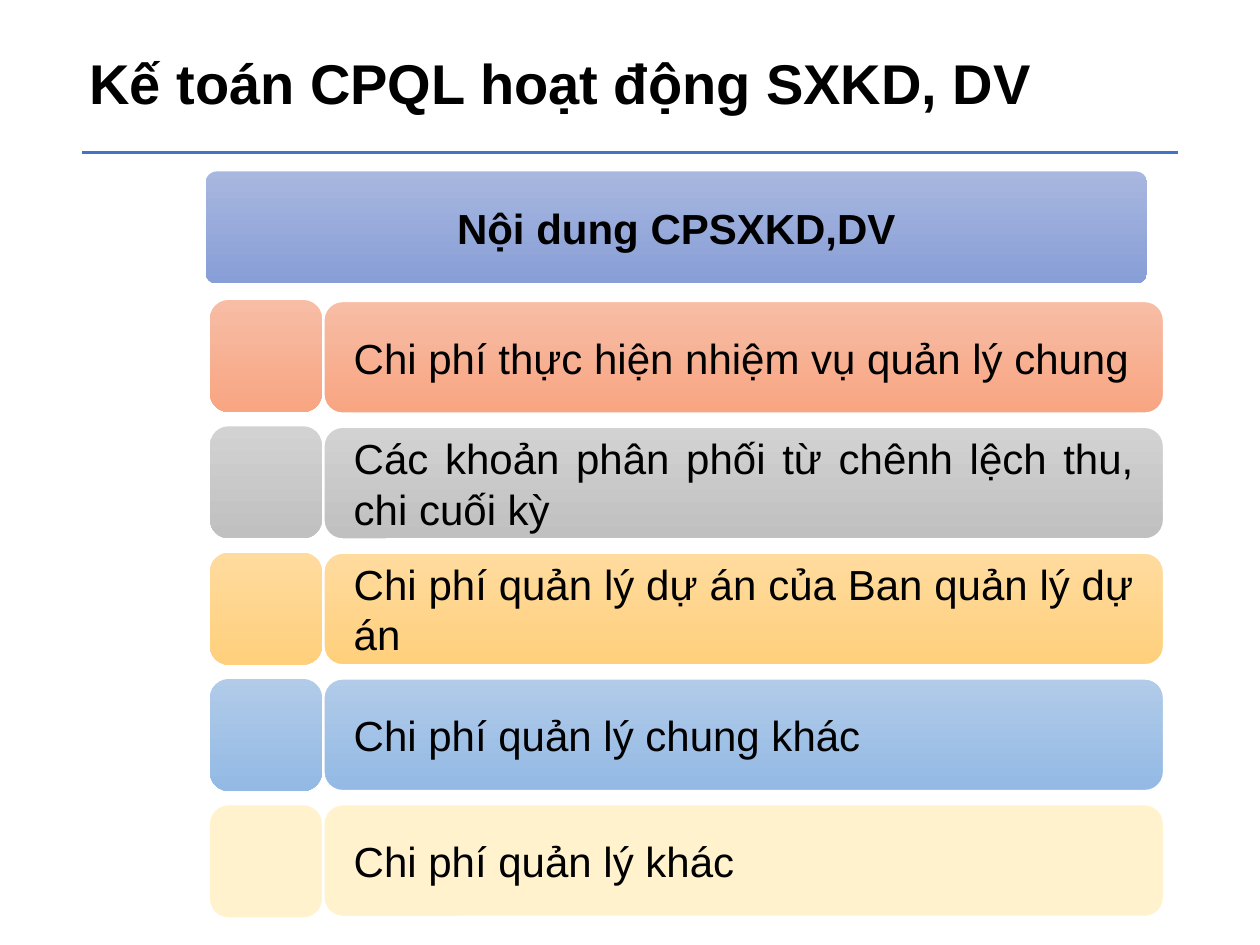
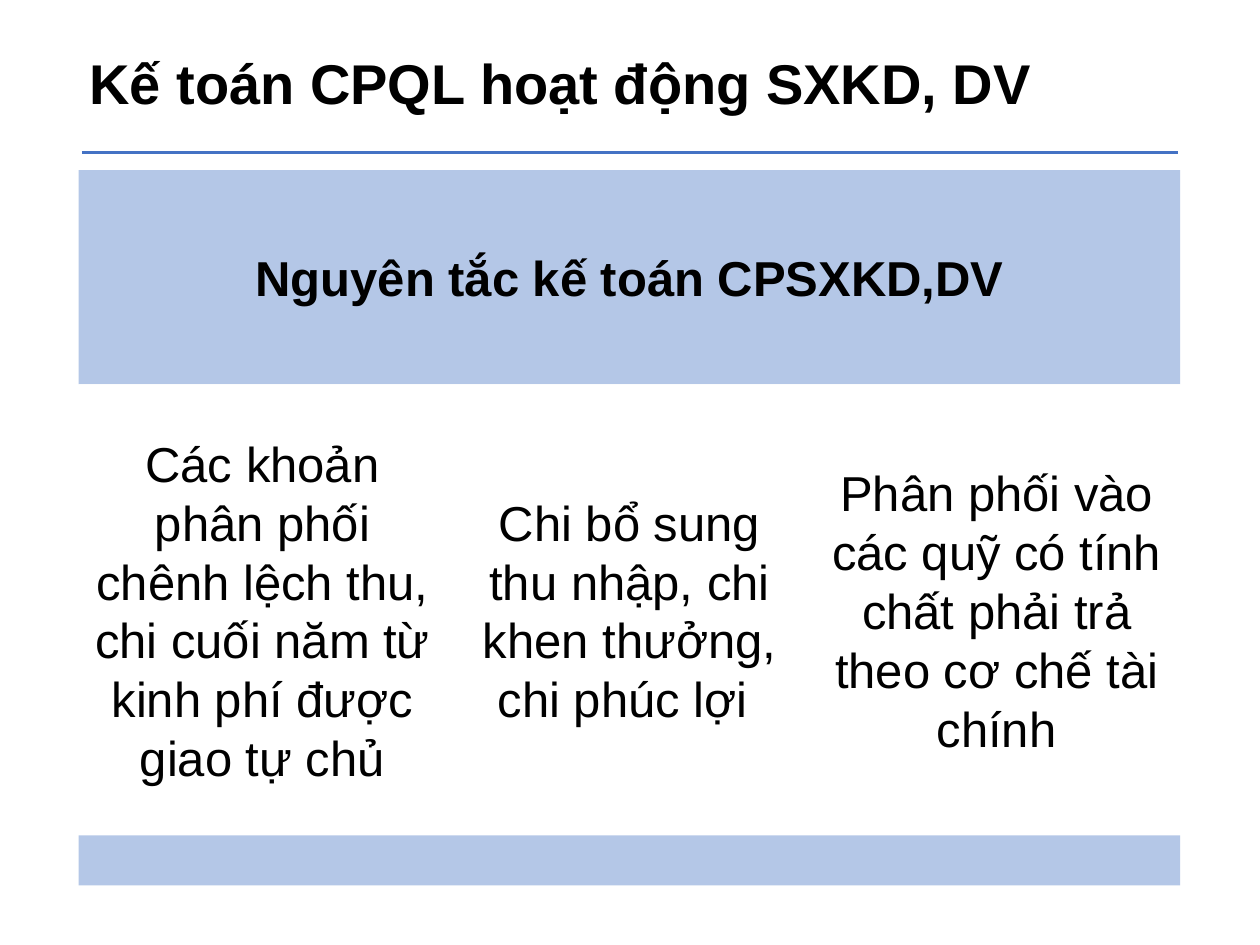
from pptx import Presentation
from pptx.util import Pt
from pptx.dml.color import RGBColor
from pptx.enum.shapes import MSO_SHAPE as Kind, MSO_CONNECTOR as Link
from pptx.enum.text import PP_ALIGN as Align, MSO_ANCHOR as Anchor
from pptx.oxml.ns import qn
from lxml.etree import SubElement

BLUE, PALE, BLACK, WHITE = "4472C4", "B4C7E7", "000000", "FFFFFF"


def rgb(code):
    return RGBColor.from_string(code)


def panel(kind, left, top, width, height, fill, text="", size=24, bold=False,
          align=Align.CENTER, inset=8.5):
    """Add a borderless shape; two fill colours make a vertical gradient."""
    box = slide.shapes.add_shape(kind, Pt(left), Pt(top), Pt(width), Pt(height))
    box.shadow.inherit = False
    box.line.fill.background()
    if len(fill) == 2:
        box.fill.gradient()
        box.fill.gradient_angle = 270
        for stop, code in zip(box.fill.gradient_stops, fill):
            stop.color.rgb = rgb(code)
    else:
        box.fill.solid()
        box.fill.fore_color.rgb = rgb(fill[0])
    if text:
        frame = box.text_frame
        frame.text = text
        frame.word_wrap = True
        frame.vertical_anchor = Anchor.MIDDLE
        frame.margin_left = frame.margin_right = Pt(inset)
        frame.margin_top = frame.margin_bottom = Pt(inset)
        para = frame.paragraphs[0]
        para.alignment = align
        font = para.runs[0].font
        font.name, font.size, font.bold = "Arial", Pt(size), bold
        font.color.rgb = rgb(BLACK)
    return box


deck = Presentation()
deck.slide_width, deck.slide_height = Pt(720), Pt(540)

# Shared title and rule
for _ in range(2):
    slide = deck.slides.add_slide(deck.slide_layouts[6])
    rule = slide.shapes.add_connector(Link.STRAIGHT, Pt(46.8), Pt(87), Pt(673.2), Pt(87))
    rule.line.color.rgb = rgb(BLUE)
    rule.line.width = Pt(1.5)
    SubElement(rule._element.spPr, qn("a:effectLst"))

    title = slide.shapes.add_textbox(Pt(8), Pt(24), Pt(602), Pt(46)).text_frame
    title.word_wrap = True
    title.text = "Kế toán CPQL hoạt động SXKD, DV"
    para = title.paragraphs[0]
    para._p.get_or_add_pPr().set("indent", str(Pt(36)))
    font = para.runs[0].font
    font.name, font.size, font.bold = "Arial", Pt(32), True
    font.color.rgb = rgb(BLACK)

# Slide 1: heading over a list of cost items
slide = deck.slides[0]
head = panel(Kind.ROUNDED_RECTANGLE, 117.5, 98, 538, 64, ("A8B7DF", "889ED7"),
             "Nội dung CPSXKD,DV", bold=True)
head.adjustments[0] = 0.1

items = [
    ("Chi phí thực hiện nhiệm vụ quản lý chung", ("F7BDA5", "F8A582")),
    ("Các khoản phân phối từ chênh lệch thu, chi cuối kỳ", ("D2D2D2", "C0C0C0")),
    ("Chi phí quản lý dự án của Ban quản lý dự án", ("FFDB9E", "FFD07C")),
    ("Chi phí quản lý chung khác", ("B1CBE9", "93B9E4")),
    ("Chi phí quản lý khác", ("FFF2CC",)),
]
for i, (text, fill) in enumerate(items):
    tile = panel(Kind.ROUNDED_RECTANGLE, 120, 171.4 + 72.2 * i, 64, 64, fill)
    bar = panel(Kind.ROUNDED_RECTANGLE, 185, 172.2 + 71.9 * i, 480, 64, fill,
                text, align=Align.JUSTIFY, inset=14)
    bar.line.color.rgb = rgb(WHITE)
    bar.line.width = Pt(1)
    for box in (tile, bar):
        box.adjustments[0] = 0.167

# Slide 2: three principles between two bands
slide = deck.slides[1]
left, width = 45, 629.4
panel(Kind.RECTANGLE, left, 97.2, width, 122.4, (PALE,),
      "Nguyên tắc kế toán CPSXKD,DV", 28, True)
rules = [
    "Các khoản phân phối chênh lệch thu, chi cuối năm từ kinh phí được giao tự chủ",
    "Chi bổ sung thu nhập, chi khen thưởng, chi phúc lợi ",
    "Phân phối vào các quỹ có tính chất phải trả theo cơ chế tài chính",
]
step = width / len(rules)
for i, text in enumerate(rules):
    panel(Kind.RECTANGLE, left + step * i, 219.6, step, 257.8, (WHITE,), text, 28)
panel(Kind.RECTANGLE, left, 477.4, width, 28.6, (PALE,))

deck.save("out.pptx")
